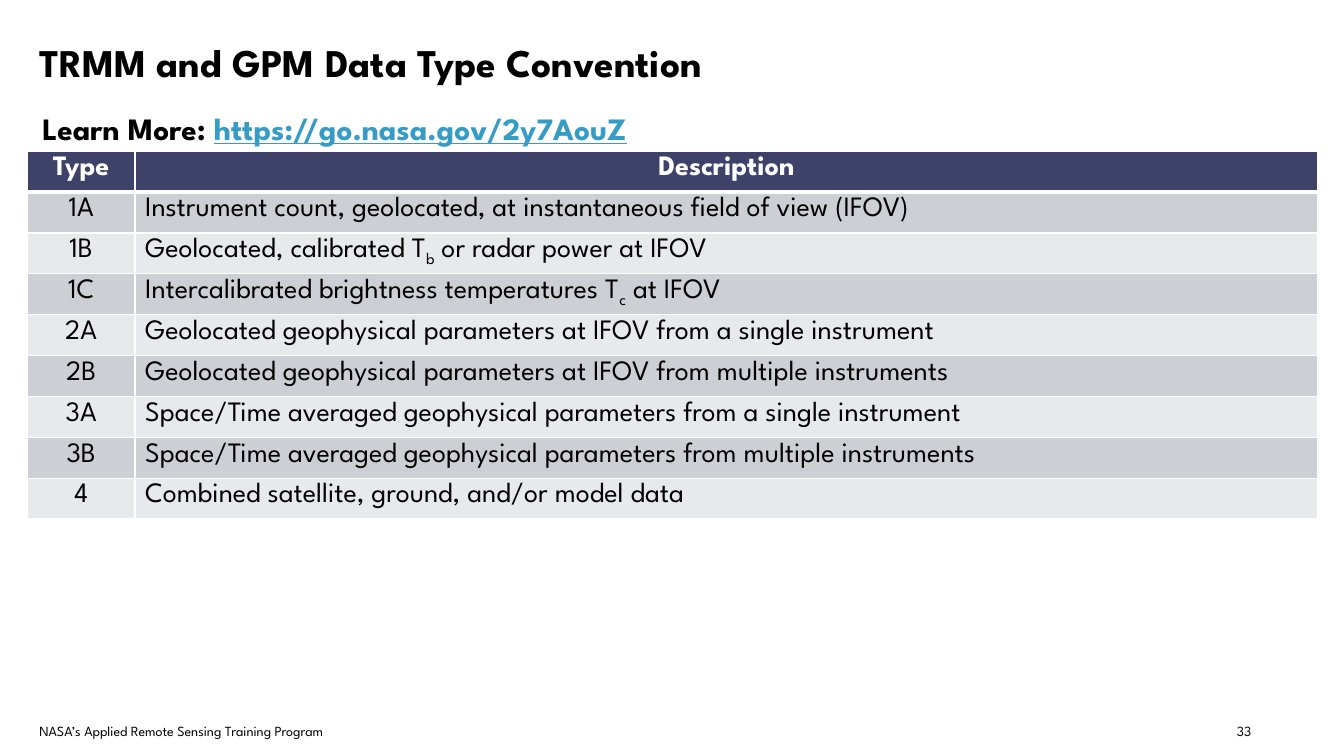
from lxml.etree import SubElement
from pptx import Presentation
from pptx.dml.color import RGBColor
from pptx.enum.text import MSO_ANCHOR as Anchor, MSO_AUTO_SIZE as AutoSize, PP_ALIGN as Align
from pptx.oxml.ns import qn
from pptx.util import Inches, Pt

FONT = "League Spartan"
BLACK = RGBColor(0x00, 0x00, 0x00)
WHITE = RGBColor(0xFF, 0xFF, 0xFF)
NAVY = RGBColor(0x3E, 0x41, 0x68)
DARK_BAND = RGBColor(0xCE, 0xCF, 0xD4)
LIGHT_BAND = RGBColor(0xE8, 0xE9, 0xEB)
LINK_BLUE = RGBColor(0x37, 0x9C, 0xC3)

# Each description is split into (text, is_subscript) runs where needed.
DATA_TYPES = [
    ("1A", [("Instrument count, geolocated, at instantaneous field of view (IFOV)", False)]),
    ("1B", [("Geolocated, calibrated T", False), ("b", True), (" or radar power at IFOV", False)]),
    ("1C", [("Intercalibrated brightness temperatures T", False), ("c", True), (" at IFOV", False)]),
    ("2A", [("Geolocated geophysical parameters at IFOV from a single instrument", False)]),
    ("2B", [("Geolocated geophysical parameters at IFOV from multiple instruments", False)]),
    ("3A", [("Space/Time averaged geophysical parameters from a single instrument", False)]),
    ("3B", [("Space/Time averaged geophysical parameters from multiple instruments", False)]),
    ("4", [("Combined satellite, ground, and/or model data", False)]),
]


def format_run(run, size, color=BLACK, bold=False):
    font = run.font
    font.name, font.size, font.bold = FONT, Pt(size), bold
    font.color.rgb = color


def place(shape, left, top, width, height):
    shape.left, shape.top = Inches(left), Inches(top)
    shape.width, shape.height = Inches(width), Inches(height)


def set_frame(frame, left=0.13, top=0.07, anchor=Anchor.TOP):
    frame.margin_left, frame.margin_top = Inches(left), Inches(top)
    frame.margin_right, frame.margin_bottom = Inches(0.13), Inches(0.07)
    frame.vertical_anchor = anchor
    frame.auto_size = AutoSize.NONE
    frame.word_wrap = True


def add_title(slide, left, top, width, height):
    title = slide.shapes.title
    place(title, left, top, width, height)
    title.text_frame.text = "TRMM and GPM Data Type Convention"
    set_frame(title.text_frame, anchor=Anchor.MIDDLE)
    heading = title.text_frame.paragraphs[0]
    heading.alignment = Align.LEFT
    format_run(heading.runs[0], 28, bold=True)


def add_learn_more(slide, left, top, width, height):
    body = slide.placeholders[1]
    place(body, left, top, width, height)
    set_frame(body.text_frame, left=0, top=0.16)
    line = body.text_frame.paragraphs[0]
    line.text = "Learn More: "
    line.space_before = Pt(0)
    properties = line._p.get_or_add_pPr()
    properties.set("marL", str(Inches(0.16)))
    properties.set("indent", "0")
    SubElement(properties, qn("a:buNone"))
    format_run(line.runs[0], 22.2, bold=True)
    address = line.add_run()
    address.text = "https://go.nasa.gov/2y7AouZ"
    format_run(address, 22.2, LINK_BLUE, bold=True)
    address.font.underline = True


def add_borders(cell, bottom_width):
    properties = cell._tc.get_or_add_tcPr()
    for side, width in (("L", 1), ("R", 1), ("T", 1), ("B", bottom_width)):
        border = SubElement(properties, qn(f"a:ln{side}"), w=str(Pt(width)))
        fill = SubElement(border, qn("a:solidFill"))
        SubElement(fill, qn("a:srgbClr"), val=str(WHITE))


def fill_cell(cell, parts, fill, color=BLACK, bold=False, align=Align.LEFT, bottom_width=1):
    add_borders(cell, bottom_width)
    cell.fill.solid()
    cell.fill.fore_color.rgb = fill
    line = cell.text_frame.paragraphs[0]
    line.alignment = align
    for text, is_subscript in parts:
        run = line.add_run()
        run.text = text
        format_run(run, 20, color, bold)
        if is_subscript:
            run.font._element.set("baseline", "-25000")


def add_type_table(slide, left, top, width, height):
    row_count = len(DATA_TYPES) + 1
    table = slide.shapes.add_table(
        row_count, 2, Inches(left), Inches(top), Inches(width), Inches(height)).table
    table.horz_banding = False
    type_width = 1.07
    table.columns[0].width = Inches(type_width)
    table.columns[1].width = Inches(width - type_width)
    for column, header in enumerate(("Type", "Description")):
        fill_cell(table.cell(0, column), [(header, False)], NAVY, WHITE, True, Align.CENTER, 3)
    for row, (code, description) in enumerate(DATA_TYPES, start=1):
        band = DARK_BAND if row % 2 else LIGHT_BAND
        fill_cell(table.cell(row, 0), [(code, False)], band, align=Align.CENTER)
        fill_cell(table.cell(row, 1), description, band)


def add_footer_text(slide, text, left, top, width, height, align=Align.LEFT):
    footer = slide.shapes.add_textbox(Inches(left), Inches(top), Inches(width), Inches(height))
    set_frame(footer.text_frame)
    footer.text_frame.text = text
    line = footer.text_frame.paragraphs[0]
    line.alignment = align
    format_run(line.runs[0], 10)


def main():
    deck = Presentation()
    deck.slide_width, deck.slide_height = Inches(13.33), Inches(7.5)
    slide = deck.slides.add_slide(deck.slide_layouts[1])
    add_footer_text(slide, "NASA’s Applied Remote Sensing Training Program", 0.26, 7.1, 4.29, 0.3)
    add_footer_text(slide, "33", 11.79, 7.1, 0.75, 0.3, Align.RIGHT)
    add_title(slide, 0.26, 0.3, 12.8, 0.63)
    add_type_table(slide, 0.27, 1.5, 12.8, 3.65)
    add_learn_more(slide, 0.26, 0.93, 12.8, 0.48)
    deck.save("out.pptx")


if __name__ == "__main__":
    main()
